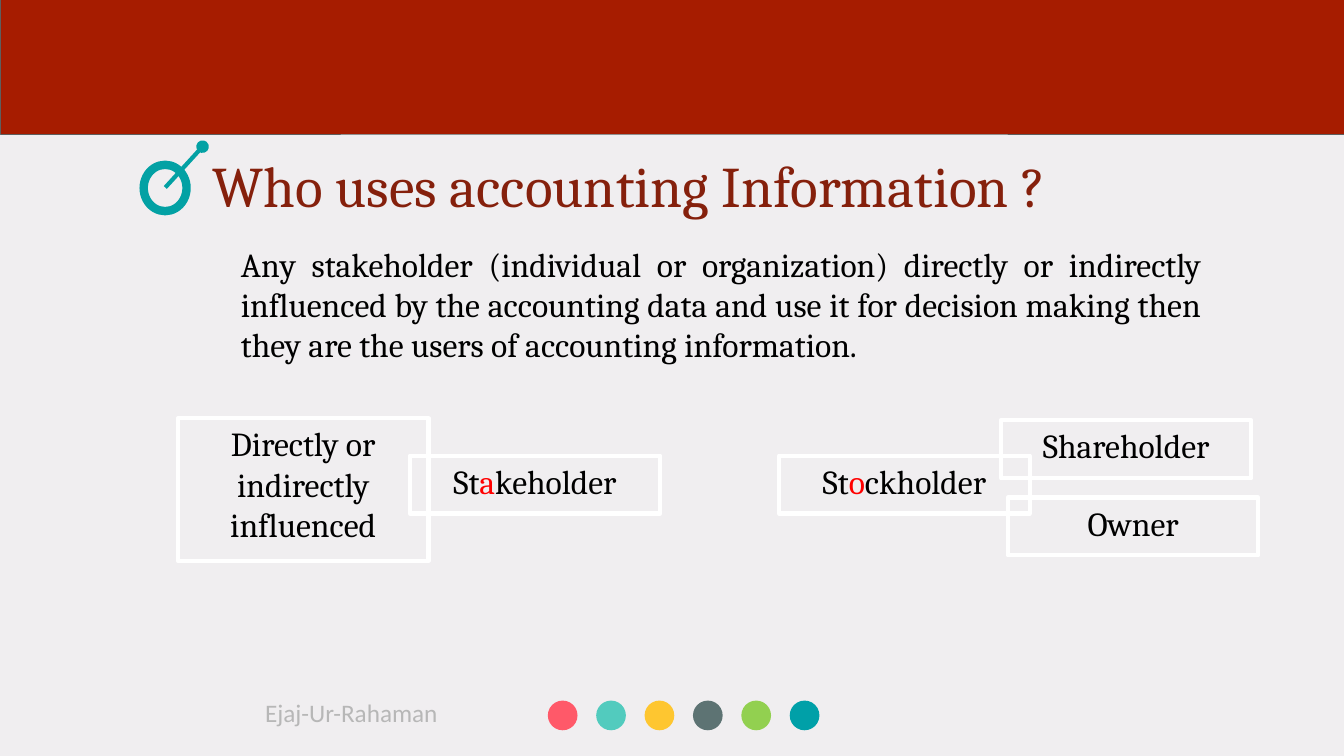
from pptx import Presentation
from pptx.dml.color import RGBColor
from pptx.enum.shapes import MSO_CONNECTOR, MSO_SHAPE
from pptx.enum.text import MSO_ANCHOR, MSO_AUTO_SIZE, PP_ALIGN
from pptx.oxml.ns import qn
from pptx.util import Inches, Pt
from lxml.etree import SubElement

COLORS = {
    "background": "F0EEF0", "band": "A61C00", "band_line": "5E5E5E",
    "title": "85200C", "text": "000000", "accent": "FF0000",
    "box_line": "FFFFFF", "icon": "03A1A4", "author": "B7B7B7",
}
DOT_COLORS = ["FF5969", "52CBBE", "FEC630", "5D7373", "92D050", "00A0A8"]


def rgb(color):
    """Look up a named colour, or take a hex string as it is."""
    return RGBColor.from_string(COLORS.get(color, color))


class SlideBuilder:
    """Draws styled elements on one slide, placed in percent of its size."""

    def __init__(self, presentation, font="Cambria", size=48):
        self.presentation = presentation
        self.font, self.size = font, size
        self.slide = presentation.slides.add_slide(presentation.slide_layouts[1])
        self.slide.background.fill.solid()
        self.slide.background.fill.fore_color.rgb = rgb("background")

    def x(self, share):
        return round(self.presentation.slide_width * share / 100)

    def y(self, share):
        return round(self.presentation.slide_height * share / 100)

    def area(self, left, top, width, height):
        return self.x(left), self.y(top), self.x(width), self.y(height)

    def add_runs(self, shape, runs, align=PP_ALIGN.LEFT, font=None, size=None):
        frame = shape.text_frame
        frame.word_wrap = True
        frame.auto_size = MSO_AUTO_SIZE.NONE
        frame.vertical_anchor = MSO_ANCHOR.TOP
        frame.margin_left = frame.margin_right = Inches(0.1)
        frame.margin_top = frame.margin_bottom = Inches(0.1)
        paragraph = frame.paragraphs[0]
        paragraph.alignment = align
        paragraph.space_before = Pt(0)
        for text, color in runs:
            run = paragraph.add_run()
            run.text = text
            run.font.name = font or self.font
            run.font.size = Pt(size or self.size)
            run.font.color.rgb = rgb(color)
        return paragraph

    def placeholder(self, index, area, runs, **style):
        shape = self.slide.placeholders[index]
        shape.left, shape.top, shape.width, shape.height = self.area(*area)
        return self.add_runs(shape, runs, **style)

    def title(self, area, text):
        self.placeholder(0, area, [(text, "title")], size=82)

    def body(self, area, text):
        paragraph = self.placeholder(1, area, [(text, "text")], align=PP_ALIGN.JUSTIFY)
        properties = paragraph._p.get_or_add_pPr()
        properties.set("marL", "0")
        properties.set("indent", "0")
        SubElement(properties, qn("a:buNone"))

    def shape(self, kind, area, fill=None, line=None, weight=0, parent=None):
        shape = (parent or self.slide).shapes.add_shape(kind, *self.area(*area))
        shape.shadow.inherit = False
        if fill:
            shape.fill.solid()
            shape.fill.fore_color.rgb = rgb(fill)
        else:
            shape.fill.background()
        if line:
            shape.line.color.rgb = rgb(line)
            shape.line.width = Pt(weight)
        else:
            shape.line.fill.background()
        return shape

    def box(self, left, top, runs, height=7.67):
        area = left, top, 18.64, height
        shape = self.shape(MSO_SHAPE.RECTANGLE, area, line="box_line", weight=6)
        self.add_runs(shape, runs, align=PP_ALIGN.CENTER)

    def pin(self, start, end):
        connector = self.slide.shapes.add_connector(
            MSO_CONNECTOR.STRAIGHT, self.x(start[0]), self.y(start[1]),
            self.x(end[0]), self.y(end[1]))
        connector.line.color.rgb = rgb("icon")
        connector.line.width = Pt(6)
        properties = connector._element.spPr
        SubElement(properties.find(qn("a:ln")), qn("a:tailEnd"), type="oval")
        SubElement(properties, qn("a:effectLst"))

    def dots(self, left, top, pitch):
        group = self.slide.shapes.add_group_shape()
        for index, color in enumerate(DOT_COLORS):
            area = left + index * pitch, top, 2.21, 3.93
            self.shape(MSO_SHAPE.OVAL, area, fill=color, parent=group)

    def text(self, area, runs, **style):
        self.add_runs(self.slide.shapes.add_textbox(*self.area(*area)), runs, **style)


def main():
    presentation = Presentation()
    presentation.slide_width, presentation.slide_height = Inches(26.67), Inches(15)
    builder = SlideBuilder(presentation)

    builder.dots(40.76, 92.67, pitch=3.6)
    builder.title((15.45, 19.2, 76.49, 9.6), "Who uses accounting Information ?")
    builder.shape(MSO_SHAPE.RECTANGLE, (0, -0.07, 100.3, 17.8), "band", "band_line", 0.75)
    builder.shape(MSO_SHAPE.OVAL, (10.69, 21.8, 3.19, 6.13), line="icon", weight=12)
    builder.pin((12.3, 24.8), (15.07, 19.4))
    builder.body(
        (17.55, 31.53, 72.22, 18.87),
        "Any stakeholder (individual or organization) directly or indirectly "
        "influenced by the accounting data and use it for decision making then "
        "they are the users of accounting information.")

    for left, letter, ending in [(30.48, "a", "keholder"), (57.97, "o", "ckholder")]:
        builder.box(left, 60.27, [("St", "text"), (letter, "accent"), (ending, "text")])
    builder.box(74.47, 55.6, [("Shareholder", "text")])
    builder.box(74.99, 65.8, [("Owner", "text")])
    builder.box(13.24, 55.33, [("Directly or indirectly influenced", "text")], height=18.87)

    builder.text((19.35, 91.6, 16.12, 6.13), [("Ejaj-Ur-Rahaman", "author")],
                 font="Calibri", size=36)
    presentation.save("out.pptx")


if __name__ == "__main__":
    main()
